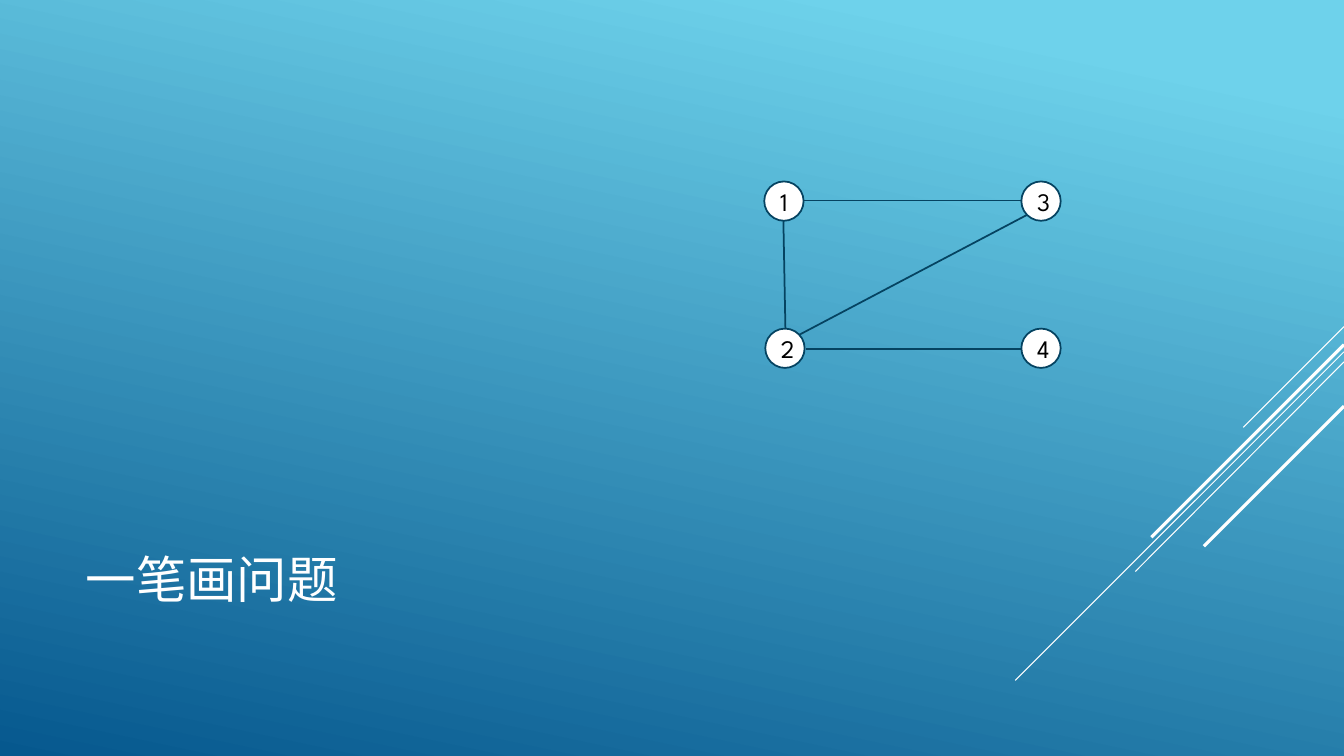
from pptx import Presentation
from pptx.dml.color import RGBColor
from pptx.enum.shapes import MSO_CONNECTOR, MSO_SHAPE
from pptx.enum.text import MSO_ANCHOR, PP_ALIGN
from pptx.oxml.ns import qn
from pptx.util import Inches, Pt
from lxml.etree import SubElement

FONT = "League Spartan"
WHITE = "FFFFFF"
NAVY = "054361"
SIZE = 0.39


def write(shape, text, size=18, color="000000", align=PP_ALIGN.CENTER):
    frame = shape.text_frame
    frame.word_wrap = True
    frame.vertical_anchor = MSO_ANCHOR.MIDDLE
    para = frame.paragraphs[0]
    para.alignment = align
    run = para.add_run()
    run.text = text
    run.font.name = FONT
    run.font.size = Pt(size)
    run.font.color.rgb = RGBColor.from_string(color)


def draw(start, end, color, width):
    ends = [Inches(v) for v in (*start, *end)]
    line = slide.shapes.add_connector(MSO_CONNECTOR.STRAIGHT, *ends)
    line.line.color.rgb = RGBColor.from_string(color)
    line.line.width = Pt(width)
    SubElement(line._element.spPr, qn("a:effectLst"))


deck = Presentation()
deck.slide_width = Inches(13.33)
deck.slide_height = Inches(7.5)
slide = deck.slides.add_slide(deck.slide_layouts[5])

fill = slide.background.fill
fill.gradient()
fill.gradient_angle = 258
for stop, (place, color) in zip(fill.gradient_stops, [(0.1, "6ED2EB"), (1, "06588E")]):
    stop.position = place
    stop.color.rgb = RGBColor.from_string(color)

rays = [
    (3.24, 12.33, 4.24, 0.75),
    (3.49, 10.07, 6.75, 0.75),
    (3.59, 11.26, 5.67, 0.75),
    (3.42, 11.42, 5.33, 2.25),
    (4.03, 11.94, 5.42, 2.25),
]
for top, left, low, width in rays:
    draw((13.33, top), (left, low), WHITE, width)

title = slide.shapes.title
title.left, title.top = Inches(0.75), Inches(4.91)
title.width, title.height = Inches(9.33), Inches(1.65)
write(title, "一笔画问题", size=36, color=WHITE, align=PP_ALIGN.LEFT)

edges = [
    ((7.97, 1.99), (10.13, 1.99)),
    ((7.77, 2.19), (7.79, 3.26)),
    ((7.93, 3.32), (10.19, 2.13)),
    ((7.99, 3.46), (10.13, 3.46)),
]
for start, end in edges:
    draw(start, end, NAVY, 1.25)

nodes = {"1": (7.58, 1.8), "2": (7.59, 3.26), "3": (10.13, 1.8), "4": (10.13, 3.26)}
for name, (left, top) in nodes.items():
    node = slide.shapes.add_shape(
        MSO_SHAPE.OVAL, Inches(left), Inches(top), Inches(SIZE), Inches(SIZE)
    )
    node.shadow.inherit = False
    node.fill.solid()
    node.fill.fore_color.rgb = RGBColor.from_string(WHITE)
    node.line.color.rgb = RGBColor.from_string(NAVY)
    node.line.width = Pt(1.25)
    write(node, name)

deck.save("out.pptx")
